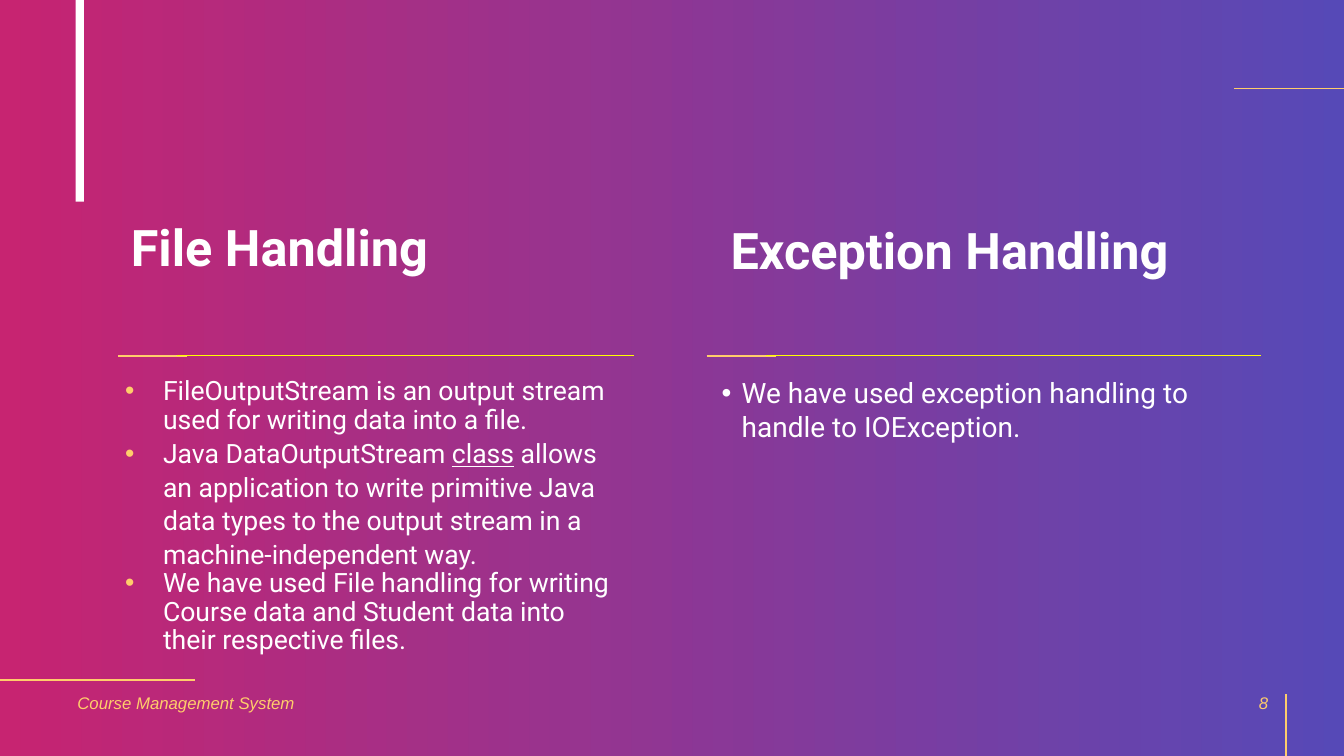
from lxml.etree import SubElement as Sub
from pptx import Presentation
from pptx.dml.color import RGBColor as RGB
from pptx.enum.shapes import MSO_CONNECTOR as Conn, MSO_SHAPE as Kind
from pptx.enum.text import MSO_ANCHOR as Anchor, PP_ALIGN as Align
from pptx.oxml.ns import qn
from pptx.util import Pt

# Content: a paragraph is (line spacing, [(text, underlined), ...])
FILES = [
    (0.9, [("FileOutputStream is an output stream used for writing data into a file.", False)]),
    (1.05, [("Java DataOutputStream ", False), ("class", True),
            (" allows an application to write primitive Java data types to the "
             "output stream in a machine-independent way.", False)]),
    (0.9, [("We have used File handling for writing Course data and Student data "
            "into their respective files.", False)]),
]
ERRORS = [(1.0, [("We have used exception handling to handle to IOException.", False)])]


def plain(text, space=1.0):
    return [(space, [(text, False)])]


THEME = {
    "white": "FFFFFF", "gold": "FFCD6B", "rule": "FFFF00",
    "fade": ("BE005A", "3B2CAC"), "alpha": "85000",
    "head": {"size": Pt(36), "name": "Roboto", "bold": True},
    "left": {"size": Pt(19), "name": "Roboto"},
    "right": {"size": Pt(20), "name": "Roboto"},
    "foot": {"size": Pt(12), "name": "Arial", "italic": True},
}
WIDTH, HEIGHT = 960, 540

# Text blocks: box, paragraphs, font, colour, frame and paragraph formats, bullet
BASE = {"vertical_anchor": Anchor.BOTTOM}
MID = {"vertical_anchor": Anchor.MIDDLE}
TOP = {"vertical_anchor": Anchor.TOP}
TEXTS = [
    ((86.4, 133.2, 406, 68.4), plain("File Handling", 0.9), "head", "white", BASE, {}, None),
    ((73.4, 266.4, 379.6, 218), FILES, "left", "white", TOP, {}, ("gold", 36, 27)),
    ((514.8, 131, 379.4, 72.7), plain("Exception Handling", 0.9), "head", "white", BASE, {}, None),
    ((48.2, 487.4, 256.3, 28.8), plain("Course Management System"), "foot", "gold", MID, {}, None),
    ((697, 487.4, 216, 28.8), plain("8"), "foot", "gold", MID, {"alignment": Align.RIGHT}, None),
    ((508.3, 265, 392.4, 218), ERRORS, "right", "white", TOP, {}, ("white", 14.4, 14.4)),
]

# Lines: start, end, colour, weight
RULE_Y, TAB = 254.2, 49.5
COLS = [(84.2, 126.7, 453), (504.7, 547.2, 900.7)]
LINES = [
    ((881.3, 63.4), (WIDTH, 63.4), "gold", 0.75),
    ((0, 486), (139, 486), "gold", 1.5),
    ((918.7, HEIGHT), (918.7, 496), "gold", 1.5),
]
LINES += [((x, RULE_Y), (x + TAB, RULE_Y), "gold", 1.5) for x, _, _ in COLS]
RULES = [((x, RULE_Y), (end, RULE_Y), "rule", 0.75) for _, x, end in COLS]


def color(name):
    return RGB.from_string(THEME[name])


def style(obj, form):
    for key, val in form.items():
        setattr(obj, key, val)


def block(box):
    shape = slide.shapes.add_shape(Kind.RECTANGLE, *map(Pt, box))
    shape.shadow.inherit = False
    shape.line.fill.background()
    return shape


def line(start, end, tint, weight):
    wire = slide.shapes.add_connector(Conn.STRAIGHT, *map(Pt, start + end))
    wire.line.color.rgb = color(tint)
    wire.line.width = Pt(weight)
    Sub(wire._element.spPr, qn("a:effectLst"))


def bullet(para, tint, left, hang):
    prop = para._p.get_or_add_pPr()
    prop.set("marL", str(Pt(left)))
    prop.set("indent", str(-Pt(hang)))
    Sub(Sub(prop, qn("a:buClr")), qn("a:srgbClr")).set("val", THEME[tint])
    Sub(prop, qn("a:buFont")).set("typeface", "Arial")
    Sub(prop, qn("a:buChar")).set("char", "•")


def write(box, paras, font, tint, frame, form, mark):
    body = slide.shapes.add_textbox(*map(Pt, box)).text_frame
    style(body, {"word_wrap": True, **frame})
    for i, (space, runs) in enumerate(paras):
        para = body.paragraphs[0] if i == 0 else body.add_paragraph()
        style(para, {"line_spacing": space, **form})
        if mark:
            bullet(para, *mark)
        for text, under in runs:
            run = para.add_run()
            run.text = text
            style(run.font, THEME[font])
            run.font.color.rgb = color(tint)
            if under:
                run.font.underline = True


deck = Presentation()
style(deck, {"slide_width": Pt(WIDTH), "slide_height": Pt(HEIGHT)})
slide = deck.slides.add_slide(deck.slide_layouts[6])

# Backdrop with a see-through gradient
back = block((0, 0, WIDTH, HEIGHT))
back.fill.gradient()
back.fill.gradient_angle = 0
for stop, pos, tint in zip(back.fill.gradient_stops, (0, 1), THEME["fade"]):
    stop.position = pos
    stop.color.rgb = RGB.from_string(tint)
for node in back._element.spPr.iter(qn("a:srgbClr")):
    Sub(node, qn("a:alpha")).set("val", THEME["alpha"])

# White bar, accents, text and column rules
bar = block((54, 0, 6, 144))
bar.fill.solid()
bar.fill.fore_color.rgb = color("white")
for item in LINES:
    line(*item)
for item in TEXTS:
    write(*item)
for item in RULES:
    line(*item)

deck.save("out.pptx")
